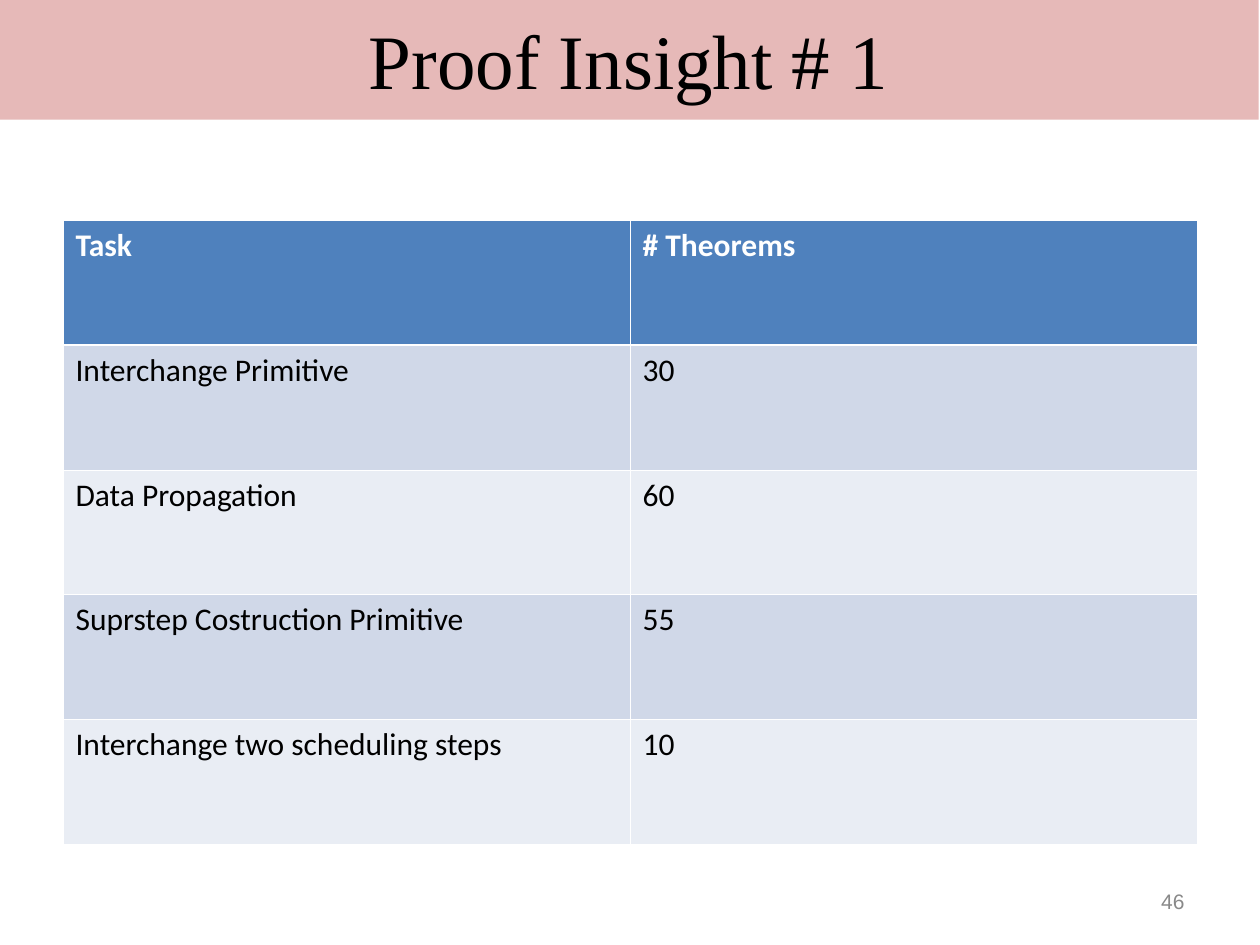
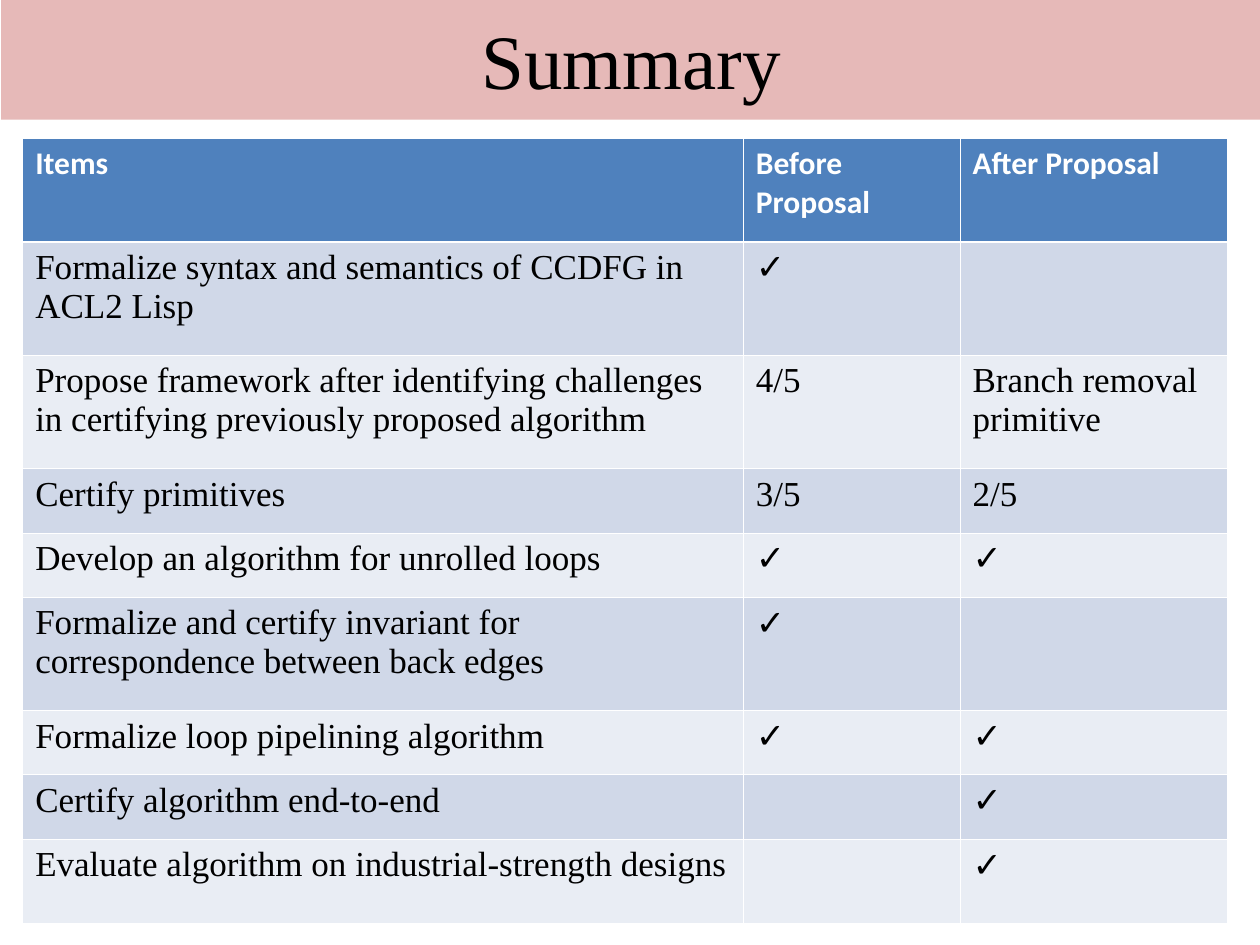
from lxml.etree import SubElement
from pptx import Presentation
from pptx.dml.color import RGBColor
from pptx.enum.shapes import MSO_SHAPE
from pptx.enum.text import MSO_ANCHOR, PP_ALIGN
from pptx.oxml.ns import qn
from pptx.util import Inches, Pt

BAND_PINK = RGBColor(0xE6, 0xB9, 0xB8)
HEADER_BLUE = RGBColor(0x4F, 0x81, 0xBD)
ROW_FILLS = (RGBColor(0xD0, 0xD8, 0xE8), RGBColor(0xE9, 0xED, 0xF4))
WHITE = RGBColor(0xFF, 0xFF, 0xFF)
BLACK = RGBColor(0x00, 0x00, 0x00)
NUMBER_GRAY = RGBColor(0x89, 0x89, 0x89)

SERIF, SANS, PLAIN = "Times New Roman", "Calibri", "Arial"
THIN, THICK = Pt(0.45), Pt(1.47)
DONE = "✓"

SLIDES = [
    {
        "title": "Proof Insight # 1",
        "band_left": -0.01,
        "table_at": (0.5, 1.75),
        "columns": [4.5, 4.5],
        "heights": [0.99] * 5,
        "body": (SANS, 18),
        "rows": [
            ("Task", "# Theorems"),
            ("Interchange Primitive", "30"),
            ("Data Propagation", "60"),
            ("Suprstep Costruction Primitive", "55"),
            ("Interchange two scheduling steps", "10"),
        ],
        "number": "46",
    },
    {
        "title": "Summary",
        "band_left": 0.01,
        "table_at": (0.18, 1.1),
        "columns": [5.72, 1.72, 2.12],
        "heights": [0.82, 0.9, 0.9, 0.51, 0.51, 0.9, 0.51, 0.51, 0.67],
        "body": (SERIF, 20),
        "rows": [
            ("Items", "Before Proposal", "After Proposal"),
            ("Formalize syntax and semantics of CCDFG in ACL2 Lisp", DONE, ""),
            ("Propose framework after identifying challenges in certifying "
             "previously proposed algorithm", "4/5", "Branch removal primitive"),
            ("Certify primitives", "3/5", "2/5"),
            ("Develop an algorithm for unrolled loops", DONE, DONE),
            ("Formalize and certify invariant for correspondence between "
             "back edges", DONE, ""),
            ("Formalize loop pipelining algorithm", DONE, DONE),
            ("Certify algorithm end-to-end", "", DONE),
            ("Evaluate algorithm on industrial-strength designs", "", DONE),
        ],
    },
]


def write(frame, text, font_name, size, color, bold=False, align=PP_ALIGN.LEFT):
    frame.text = text
    frame.word_wrap = True
    paragraph = frame.paragraphs[0]
    paragraph.alignment = align
    for run in paragraph.runs:
        run.font.name = font_name
        run.font.size = Pt(size)
        run.font.bold = bold
        run.font.color.rgb = color


def add_title_band(slide, title, left):
    band = slide.shapes.add_shape(MSO_SHAPE.RECTANGLE, Inches(left), Inches(-0.01),
                                  Inches(10), Inches(0.96))
    band.shadow.inherit = False
    band.fill.solid()
    band.fill.fore_color.rgb = BAND_PINK
    band.line.fill.background()
    band.text_frame.vertical_anchor = MSO_ANCHOR.MIDDLE
    write(band.text_frame, title, SERIF, 44, BLACK, align=PP_ALIGN.CENTER)


def add_slide_number(slide, number):
    box = slide.shapes.add_textbox(Inches(7.17), Inches(6.95), Inches(2.33), Inches(0.4))
    box.text_frame.vertical_anchor = MSO_ANCHOR.MIDDLE
    write(box.text_frame, number, PLAIN, 12, NUMBER_GRAY, align=PP_ALIGN.RIGHT)


def set_borders(cell, top, bottom):
    """Draw white cell edges; call before filling, as the schema wants lines first."""
    properties = cell._tc.get_or_add_tcPr()
    for side, width in (("L", THIN), ("R", THIN), ("T", top), ("B", bottom)):
        edge = SubElement(properties, qn(f"a:ln{side}"), w=str(width))
        fill = SubElement(edge, qn("a:solidFill"))
        SubElement(fill, qn("a:srgbClr"), val=str(WHITE))


def add_grid(slide, content):
    rows, columns, heights = content["rows"], content["columns"], content["heights"]
    left, top = content["table_at"]
    table = slide.shapes.add_table(
        len(rows), len(columns), Inches(left), Inches(top),
        Inches(sum(columns)), Inches(sum(heights))).table
    for column, width in zip(table.columns, columns):
        column.width = Inches(width)
    for row, height in zip(table.rows, heights):
        row.height = Inches(height)

    body_font, body_size = content["body"]
    for r, entries in enumerate(rows):
        for c, entry in enumerate(entries):
            cell = table.cell(r, c)
            set_borders(cell, THICK if r == 1 else THIN, THICK if r == 0 else THIN)
            cell.fill.solid()
            if r == 0:
                cell.fill.fore_color.rgb = HEADER_BLUE
                write(cell.text_frame, entry, SANS, 18, WHITE, bold=True)
            else:
                cell.fill.fore_color.rgb = ROW_FILLS[(r - 1) % 2]
                font_name = PLAIN if entry == DONE else body_font
                write(cell.text_frame, entry, font_name, body_size, BLACK)


def main():
    deck = Presentation()
    deck.slide_width, deck.slide_height = Inches(10), Inches(7.5)
    for content in SLIDES:
        slide = deck.slides.add_slide(deck.slide_layouts[6])
        add_title_band(slide, content["title"], content["band_left"])
        add_grid(slide, content)
        if "number" in content:
            add_slide_number(slide, content["number"])
    deck.save("out.pptx")


if __name__ == "__main__":
    main()
